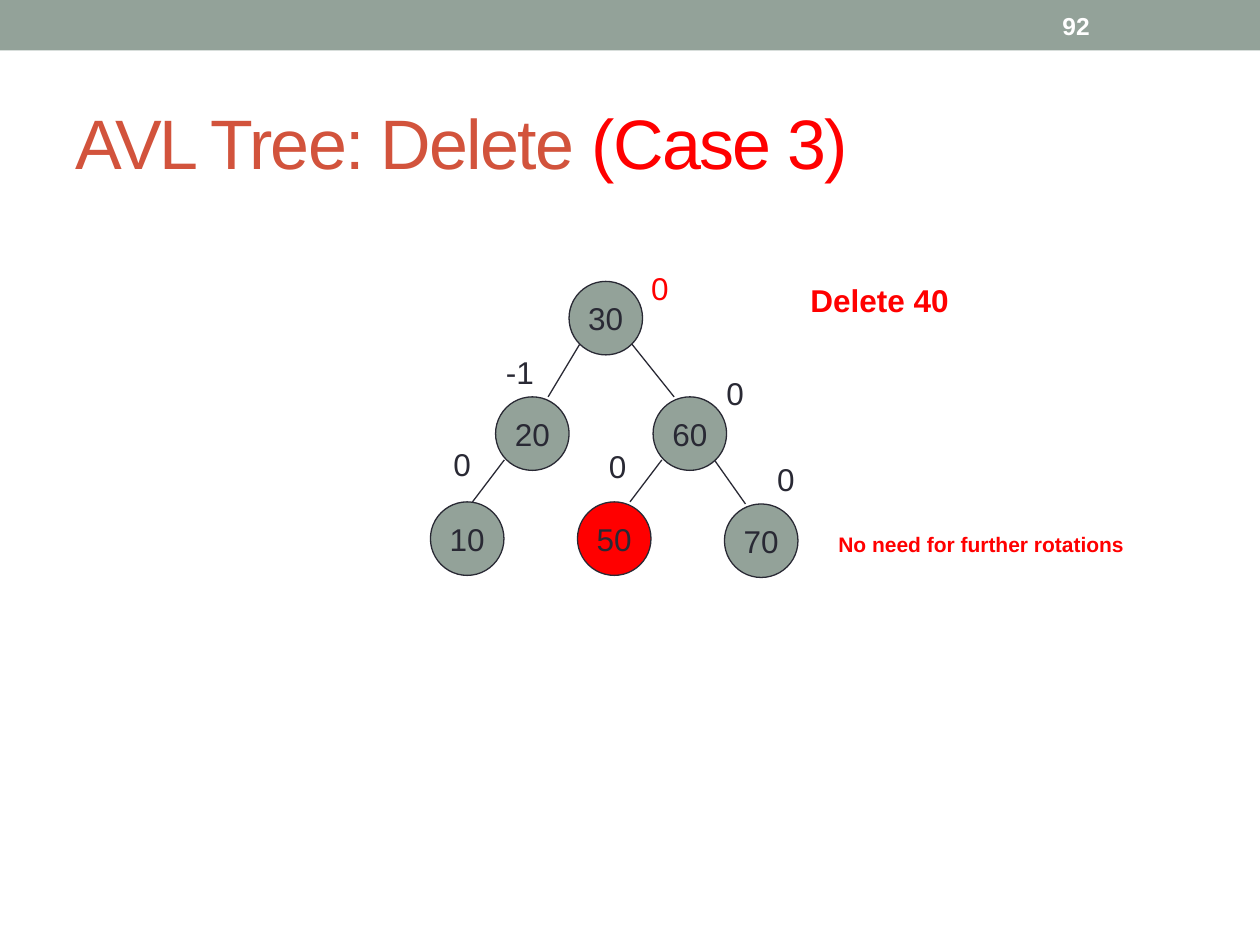
from lxml import etree
from pptx import Presentation
from pptx.dml.color import RGBColor
from pptx.enum.shapes import MSO_CONNECTOR, MSO_SHAPE
from pptx.enum.text import MSO_ANCHOR, MSO_AUTO_SIZE, PP_ALIGN
from pptx.oxml.ns import qn
from pptx.util import Pt

RECTANGLE, OVAL = MSO_SHAPE.RECTANGLE, MSO_SHAPE.OVAL
STRAIGHT = MSO_CONNECTOR.STRAIGHT
TOP, MIDDLE = MSO_ANCHOR.TOP, MSO_ANCHOR.MIDDLE
CENTER = PP_ALIGN.CENTER
GROW = MSO_AUTO_SIZE.SHAPE_TO_FIT_TEXT

SAGE, INK, RED, RUST, WHITE = "93A299", "292934", "FF0000", "D2533C", "FFFFFF"
FONT = "Arial"
NODE_SIZE = 42
EDGE_DROP = 36  # from the top of a parent to the start of its edges
LINE_WIDTH = 0.75

TITLE = [("AVL Tree: Delete ", RUST), ("(Case 3)", RED)]
PAGE_NUMBER = [("92", WHITE)]

# key: left, top, fill
NODES = {
    "30": (325.2, 160.8, SAGE),
    "60": (373.2, 226.8, SAGE),
    "20": (283.2, 226.8, SAGE),
    "70": (414, 288, SAGE),
    "50": (330, 286.8, RED),
    "10": (246, 286.8, SAGE),
}

# parent, child, horizontal offset inside parent, the same inside child
EDGES = [
    ("30", "20", 6, 30),
    ("30", "60", 36, 12),
    ("60", "70", 35, 12),
    ("60", "50", 5, 30),
    ("20", "10", 5, 24),
]

# text, box (left, top, width, height), colour
BALANCES = [
    ("0", (365, 150, 26, 29), RED),
    ("-1", (282, 198, 31, 31), INK),
    ("0", (408, 210, 26, 29), INK),
    ("0", (252, 250.5, 24.5, 31), INK),
    ("0", (340.8, 252, 24.5, 31), INK),
    ("0", (437, 259.2, 26, 29), INK),
]

# text, box, size
REMARKS = [
    ("Delete 40", (456, 157, 99.5, 29), 18),
    ("No need for further rotations", (472, 300, 185, 21.6), 12),
]


def colour(value):
    return RGBColor.from_string(value)


def write(shape, runs, size, bold=False, spacing=None, align=None, **frame_format):
    """Fill a shape with one paragraph of (text, colour) runs."""
    frame = shape.text_frame
    for name, value in frame_format.items():
        setattr(frame, name, value)
    paragraph = frame.paragraphs[0]
    paragraph.alignment = align
    for text, run_colour in runs:
        run = paragraph.add_run()
        run.text = text
        font_format = {"name": FONT, "size": Pt(size), "bold": bold}
        for name, value in font_format.items():
            setattr(run.font, name, value)
        run.font.color.rgb = colour(run_colour)
        if spacing is not None:
            run.font._element.set("spc", str(spacing * 100))


def add_text(shapes, box, runs, size, **text_format):
    write(shapes.add_textbox(*map(Pt, box)), runs, size, **text_format)


def add_filled(shapes, kind, box, fill, line=None):
    shape = shapes.add_shape(kind, *map(Pt, box))
    shape.shadow.inherit = False
    shape.fill.solid()
    shape.fill.fore_color.rgb = colour(fill)
    if line:
        shape.line.color.rgb = colour(line)
        shape.line.width = Pt(LINE_WIDTH)
    else:
        shape.line.fill.background()
    return shape


def add_edge(shapes, parent, child, parent_offset, child_offset):
    parent_left, parent_top, _ = NODES[parent]
    child_left, child_top, _ = NODES[child]
    ends = (parent_left + parent_offset, parent_top + EDGE_DROP,
            child_left + child_offset, child_top)
    edge = shapes.add_connector(STRAIGHT, *map(Pt, ends))
    edge.line.color.rgb = colour(INK)
    edge.line.width = Pt(LINE_WIDTH)
    etree.SubElement(edge._element.spPr, qn("a:effectLst"))


def main():
    presentation = Presentation()
    presentation.slide_width, presentation.slide_height = Pt(720), Pt(540)
    slide = presentation.slides.add_slide(presentation.slide_layouts[6])
    shapes = slide.shapes

    add_filled(shapes, RECTANGLE, (0, 0, 720, 28.8), SAGE)
    add_text(shapes, (36, 42, 648, 78), TITLE, 40, spacing=-1,
             word_wrap=True, vertical_anchor=MIDDLE)
    add_text(shapes, (600, 1.5, 84, 26), PAGE_NUMBER, 14, bold=True,
             word_wrap=True, vertical_anchor=MIDDLE)

    label_format = {"word_wrap": False, "auto_size": GROW, "vertical_anchor": TOP}
    for text, box, size in REMARKS:
        add_text(shapes, box, [(text, RED)], size, bold=True, **label_format)

    tree = shapes.add_group_shape().shapes
    for edge in EDGES:
        add_edge(tree, *edge)
    for key, (left, top, fill) in NODES.items():
        node = add_filled(tree, OVAL, (left, top, NODE_SIZE, NODE_SIZE), fill, INK)
        write(node, [(key, INK)], 18, align=CENTER,
              word_wrap=False, vertical_anchor=MIDDLE)
    for text, box, text_colour in BALANCES:
        add_text(tree, box, [(text, text_colour)], 18, **label_format)

    presentation.save("out.pptx")


if __name__ == "__main__":
    main()
